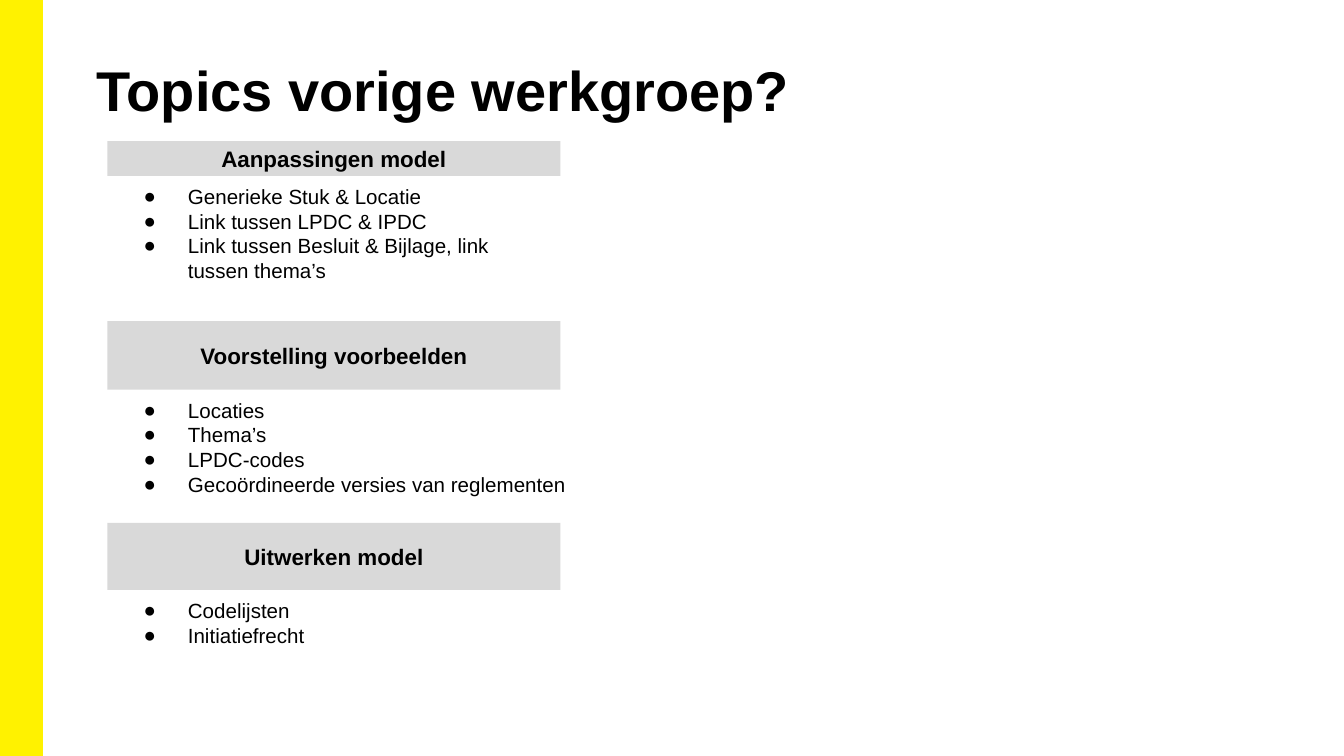
from dataclasses import dataclass

from lxml.etree import SubElement
from pptx import Presentation
from pptx.dml.color import RGBColor as RGB
from pptx.enum.shapes import MSO_SHAPE as Shape
from pptx.enum.text import MSO_ANCHOR as Anchor, MSO_AUTO_SIZE as AutoSize
from pptx.enum.text import PP_ALIGN as Align
from pptx.oxml.ns import qn
from pptx.util import Inches, Pt

# Content: heading, top, bar height, list width, list height, points
TITLE = "Topics vorige werkgroep?"
TOPICS = [
    ("Aanpassingen model", 1.05, 0.26, 3.37, 1.09, [
        "Generieke Stuk & Locatie",
        "Link tussen LPDC & IPDC",
        "Link tussen Besluit & Bijlage, link tussen thema’s",
    ]),
    ("Voorstelling voorbeelden", 2.39, 0.51, 3.59, 0.9, [
        "Locaties",
        "Thema’s",
        "LPDC-codes",
        "Gecoördineerde versies van reglementen",
    ]),
    ("Uitwerken model", 3.89, 0.5, 3.37, 0.53, [
        "Codelijsten",
        "Initiatiefrecht",
    ]),
]


@dataclass(frozen=True)
class Theme:
    font: str = "Arial"
    ink: RGB = RGB(0x00, 0x00, 0x00)
    accent: RGB = RGB(0xFF, 0xF2, 0x00)
    heading_fill: RGB = RGB(0xD9, 0xD9, 0xD9)
    title_size: float = 30
    heading_size: float = 12
    point_size: float = 11


THEME = Theme()
LEFT, HEADING_WIDTH = 0.8, 3.37
SLIDE_WIDTH = Inches(10)
SLIDE_HEIGHT = SLIDE_WIDTH * 9 // 16


def add_bullet(paragraph, size):
    props = paragraph._p.get_or_add_pPr()
    props.set("marL", str(Inches(0.5)))
    props.set("indent", str(-Inches(0.33)))
    colour = SubElement(props, qn("a:buClr"))
    SubElement(colour, qn("a:srgbClr")).set("val", str(THEME.ink))
    SubElement(props, qn("a:buSzPts")).set("val", str(size * 100))
    SubElement(props, qn("a:buFont")).set("typeface", THEME.font)
    SubElement(props, qn("a:buChar")).set("char", "●")


def write(shape, lines, size, bold=False, align=Align.LEFT,
          anchor=Anchor.TOP, insets=(0, 0, 0, 0), bullets=False):
    frame = shape.text_frame
    frame.word_wrap = True
    frame.auto_size = AutoSize.SHAPE_TO_FIT_TEXT if bullets else AutoSize.NONE
    frame.vertical_anchor = anchor
    (frame.margin_left, frame.margin_top,
     frame.margin_right, frame.margin_bottom) = map(Inches, insets)
    for number, line in enumerate(lines):
        paragraph = frame.add_paragraph() if number else frame.paragraphs[0]
        paragraph.alignment = align
        if bullets:
            add_bullet(paragraph, size)
        run = paragraph.add_run()
        run.text = line
        run.font.name = THEME.font
        run.font.size = Pt(size)
        run.font.bold = bold
        run.font.color.rgb = THEME.ink


def add_bar(slide, left, top, width, height, fill):
    bar = slide.shapes.add_shape(
        Shape.RECTANGLE, Inches(left), Inches(top), Inches(width), height)
    bar.shadow.inherit = False
    bar.fill.solid()
    bar.fill.fore_color.rgb = fill
    bar.line.fill.background()
    return bar


def add_text_box(slide, left, top, width, height):
    return slide.shapes.add_textbox(*map(Inches, (left, top, width, height)))


def main():
    deck = Presentation()
    deck.slide_width, deck.slide_height = SLIDE_WIDTH, SLIDE_HEIGHT
    slide = deck.slides.add_slide(deck.slide_layouts[6])

    # Accent strip and title
    strip = add_bar(slide, 0, 0, 0.31, SLIDE_HEIGHT, THEME.accent)
    strip.line.color.rgb = THEME.accent
    strip.line.width = Pt(1)
    title = add_text_box(slide, 0.65, 0.37, 8.69, 0.81)
    write(title, [TITLE], THEME.title_size, bold=True,
          insets=(0.07, 0.04, 0.07, 0.04))

    # Each topic: heading bar with its list directly below
    for heading, top, bar_height, list_width, list_height, points in TOPICS:
        bar = add_bar(slide, LEFT, top, HEADING_WIDTH, Inches(bar_height),
                      THEME.heading_fill)
        write(bar, [heading], THEME.heading_size, bold=True,
              align=Align.CENTER, anchor=Anchor.MIDDLE)
        point_list = add_text_box(slide, LEFT, top + bar_height,
                                  list_width, list_height)
        write(point_list, points, THEME.point_size, bullets=True,
              insets=(0.1, 0.06, 0.1, 0.1))

    deck.save("out.pptx")


if __name__ == "__main__":
    main()
